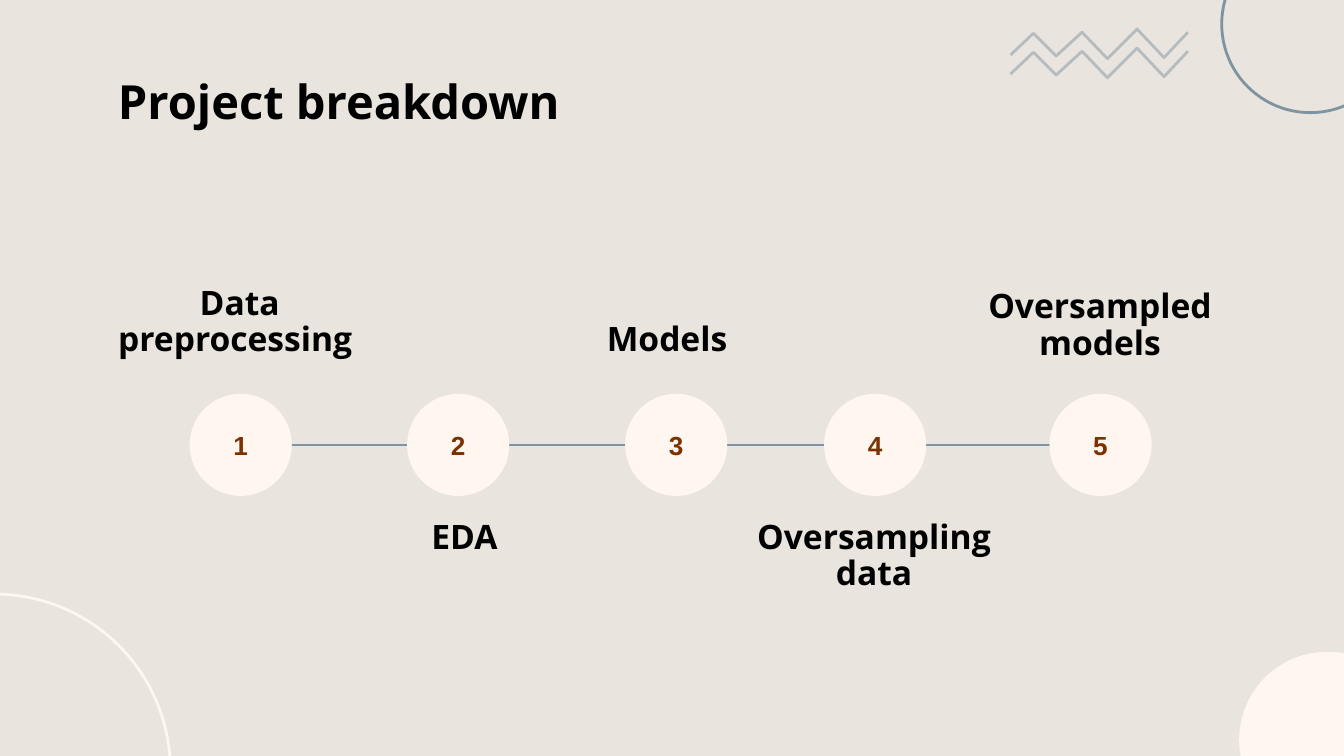
"""Build the project breakdown slide: a five-step timeline with decorative shapes."""
from dataclasses import dataclass

from lxml import etree
from pptx import Presentation
from pptx.dml.color import RGBColor
from pptx.enum import shapes, text
from pptx.oxml import ns
from pptx.util import Cm, Pt


@dataclass(frozen=True)
class Theme:
    background: str = "E9E4DD"
    ink: str = "000000"
    number: str = "7C3200"
    cream: str = "FFF6F0"
    slate: str = "7F94A1"
    mist: str = "B4BCBF"
    heading_font: str = "Open Sans"
    number_font: str = "Arial"
    title_size: float = 25.2
    label_size: float = 18
    number_size: float = 14
    stroke: float = 1.5


theme = Theme()


def write(part, wording, size, font=theme.heading_font, color=theme.ink,
          align=text.PP_ALIGN.CENTER, anchor=text.MSO_ANCHOR.TOP, spacing=0.9):
    frame = part.text_frame
    frame.word_wrap = True
    frame.vertical_anchor = anchor
    frame.margin_left = frame.margin_right = Cm(0.25)
    frame.margin_top = frame.margin_bottom = Cm(0.25)
    paragraph = frame.paragraphs[0]
    paragraph.alignment = align
    paragraph.line_spacing = spacing
    run = paragraph.add_run()
    run.text = wording
    run.font.size = Pt(size)
    run.font.name = font
    run.font.bold = True
    run.font.color.rgb = RGBColor.from_string(color)


def paint(part, fill=None, line=None):
    part.shadow.inherit = False
    if fill:
        part.fill.solid()
        part.fill.fore_color.rgb = RGBColor.from_string(fill)
    else:
        part.fill.background()
    if line:
        part.line.color.rgb = RGBColor.from_string(line)
        part.line.width = Pt(theme.stroke)
    else:
        part.line.fill.background()


deck = Presentation()
deck.slide_width, deck.slide_height = Cm(25.4), Cm(14.29)
slide = deck.slides.add_slide(deck.slide_layouts[6])
slide.background.fill.solid()
slide.background.fill.fore_color.rgb = RGBColor.from_string(theme.background)
canvas = slide.shapes

title = canvas.add_textbox(Cm(1.98), Cm(1.24), Cm(21.44), Cm(1.6))
write(title, "Project breakdown", theme.title_size, align=text.PP_ALIGN.LEFT)

axis_y, step_size = 8.41, 1.93
timeline = canvas.add_connector(shapes.MSO_CONNECTOR.STRAIGHT,
                                Cm(3.96), Cm(axis_y), Cm(20.17), Cm(axis_y))
timeline.line.color.rgb = RGBColor.from_string(theme.slate)
timeline.line.width = Pt(theme.stroke)
etree.SubElement(timeline._element.spPr, ns.qn("a:effectLst"))

steps = [
    ("Data preprocessing ", 4.55, 4.53, 5.16, 6.38),
    ("EDA", 8.66, 8.78, 9.58, 5.26),
    ("Models ", 12.78, 12.69, 5.84, 5.26),
    ("Oversampling data", 16.54, 16.52, 9.58, 5.26),
    ("Oversampled models", 20.8, 20.79, 5.23, 5.26),
]
for number, (name, step_x, label_x, label_top, label_width) in enumerate(steps, 1):
    label = canvas.add_textbox(Cm(label_x - label_width / 2), Cm(label_top),
                               Cm(label_width), Cm(1.24))
    write(label, name, theme.label_size)
    step = canvas.add_shape(shapes.MSO_SHAPE.OVAL, Cm(step_x - step_size / 2),
                            Cm(axis_y - step_size / 2), Cm(step_size), Cm(step_size))
    paint(step, fill=theme.cream)
    write(step, str(number), theme.number_size, font=theme.number_font,
          color=theme.number, anchor=text.MSO_ANCHOR.MIDDLE, spacing=1.0)

corner_circles = [
    (23.09, -1.22, 3.35, None, theme.slate),
    (-3.43, 11.23, 6.65, None, theme.cream),
    (23.42, 12.32, 3.33, theme.cream, None),
]
for left, top, diameter, fill, line in corner_circles:
    circle = canvas.add_shape(shapes.MSO_SHAPE.OVAL, Cm(left), Cm(top),
                              Cm(diameter), Cm(diameter))
    paint(circle, fill, line)

wave = [(19.1, 1.4), (19.53, 0.99), (19.96, 1.42), (20.45, 0.97),
        (20.93, 1.47), (21.49, 0.91), (22.0, 1.45), (22.45, 0.97)]
for rise in (0, 0.36):
    start, *turns = [(Cm(x), Cm(y - rise)) for x, y in wave]
    outline = canvas.build_freeform(*start)
    outline.add_line_segments(turns, close=False)
    paint(outline.convert_to_shape(), line=theme.mist)

deck.save("out.pptx")
